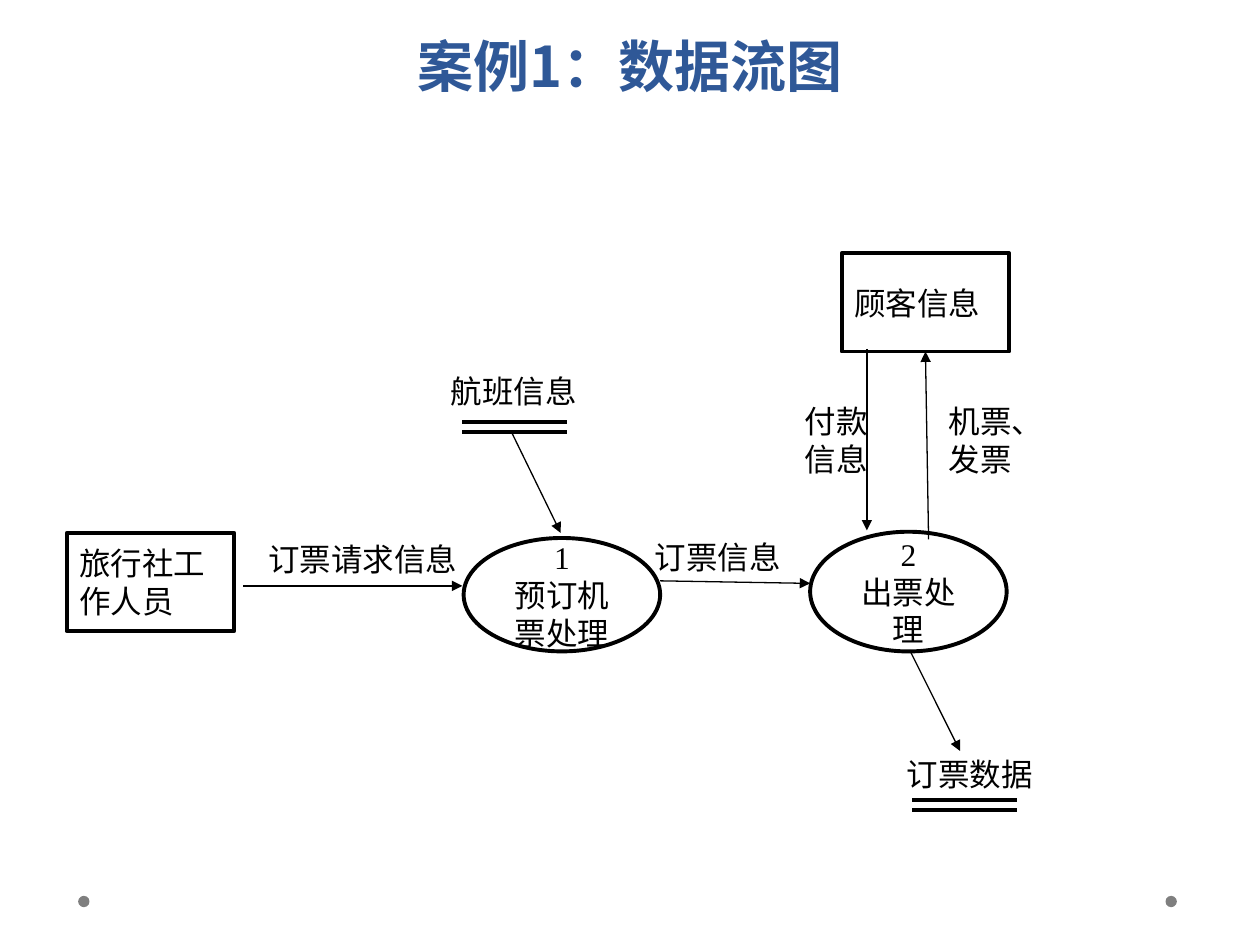
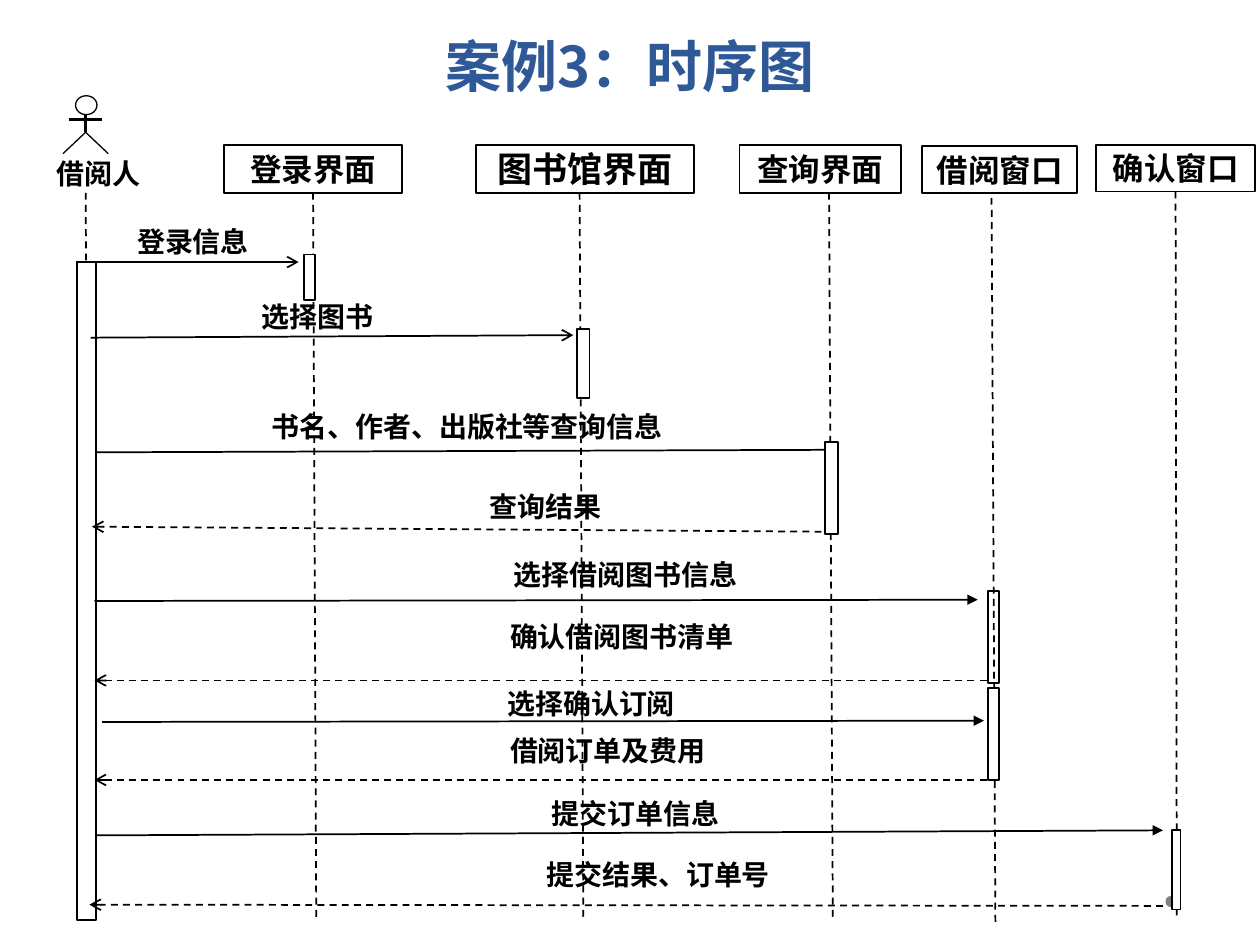
import lxml.etree
import pptx
import pptx.dml.color
import pptx.enum.dml
import pptx.enum.shapes
import pptx.enum.text
import pptx.oxml.ns
import pptx.util

PX = 9144  # 100 px to the inch
BLACK, WHITE, BLUE, GREY = "000000", "FFFFFF", "2F5897", "7F7F7F"
LATIN, HEADER, CJK = "Times New Roman", "Roboto", "Noto Sans CJK SC"
RECT = pptx.enum.shapes.MSO_SHAPE.RECTANGLE
OVAL = pptx.enum.shapes.MSO_SHAPE.OVAL
BOTTOM_SIDE = 2
ALIGN = pptx.enum.text.PP_ALIGN
ANCHOR = pptx.enum.text.MSO_ANCHOR
AUTO_SIZE = pptx.enum.text.MSO_AUTO_SIZE


def rgb(color):
    return pptx.dml.color.RGBColor.from_string(color)


def emu(*lengths):
    return [n * PX for n in lengths]


def add_xml(parent, tag, **attributes):
    return lxml.etree.SubElement(parent, pptx.oxml.ns.qn(tag), attributes)


class Diagram:
    """The shared style and the slide being drawn."""

    def __init__(self, prs):
        self.prs = prs

    def new_slide(self, title):
        s = self.prs.slides.add_slide(self.prs.slide_layouts[5])
        self.shapes = s.shapes
        s.background.fill.solid()
        s.background.fill.fore_color.rgb = rgb(WHITE)
        sp = s.shapes.title
        sp.left, sp.top, sp.width, sp.height = emu(50, -11, 900, 94)
        self.set_text(sp, title, 32, CJK, BLUE, True, ALIGN.CENTER)
        tf = sp.text_frame
        tf.auto_size = AUTO_SIZE.NONE
        tf.vertical_anchor = ANCHOR.BOTTOM
        tf.paragraphs[0].line_spacing = pptx.util.Pt(58)
        for x in (925, 62):
            self.box(OVAL, x, 711, 9, 9, fill=GREY, width=None)

    def set_text(self, sp, text, size, font=LATIN, color=BLACK, bold=False, align=ALIGN.LEFT):
        tf = sp.text_frame
        tf.text = text
        for p in tf.paragraphs:
            p.alignment = align
            for r in p.runs:
                r.font.name, r.font.bold = font, bold
                r.font.size = pptx.util.Pt(size)
                r.font.color.rgb = rgb(color)
                add_xml(r._r.get_or_add_rPr(), "a:ea", typeface=CJK)

    def outline(self, sp, fill=None, width=1):
        sp.shadow.inherit = False
        if fill:
            sp.fill.solid()
            sp.fill.fore_color.rgb = rgb(fill)
        else:
            sp.fill.background()
        if width is None:
            sp.line.fill.background()
        else:
            sp.line.color.rgb = rgb(BLACK)
            sp.line.width = pptx.util.Pt(width)

    def box(self, kind, x, y, w, h, fill=None, width=1):
        sp = self.shapes.add_shape(kind, *emu(x, y, w, h))
        self.outline(sp, fill, width)
        return sp

    def node(self, kind, x, y, w, h, text, size=18, width=1, align=ALIGN.CENTER, **style):
        sp = self.box(kind, x, y, w, h, width=width)
        self.set_text(sp, text, size, align=align, **style)
        sp.text_frame.word_wrap = True
        sp.text_frame.vertical_anchor = ANCHOR.MIDDLE
        return sp

    def label(self, x, y, text, size, bold=False):
        """Text box sized by its longest line of full-width characters."""
        lines = text.split("\n")
        w = round(max(map(len, lines)) * size * 100 / 72) + 20
        h = len(lines) * round(size * 5 / 3) + 10
        sp = self.shapes.add_textbox(*emu(x, y, w, h))
        self.set_text(sp, text, size, bold=bold)
        sp.text_frame.word_wrap = False
        sp.text_frame.auto_size = AUTO_SIZE.SHAPE_TO_FIT_TEXT

    def line(self, x1, y1, x2, y2, width=1, dash=False, head=None, tail=None, start=None):
        """Straight line; start is a box whose bottom middle it leaves from."""
        c = self.shapes.add_connector(pptx.enum.shapes.MSO_CONNECTOR.STRAIGHT, *emu(x1, y1, x2, y2))
        c.line.color.rgb = rgb(BLACK)
        c.line.width = pptx.util.Pt(width)
        if dash:
            c.line.dash_style = pptx.enum.dml.MSO_LINE.DASH
        ln = c.line._get_or_add_ln()
        for tag, kind in (("a:headEnd", head), ("a:tailEnd", tail)):
            if kind:
                add_xml(ln, tag, type=kind)
        add_xml(c._element.spPr, "a:effectLst")
        if start is not None:
            c.begin_connect(start, BOTTOM_SIDE)

    def data_store(self, x, y):
        for bar_y in (y, y + 8):
            self.line(x, bar_y, x + 83, bar_y, width=2)

    def actor(self):
        slide_shapes = self.shapes
        self.shapes = slide_shapes.add_group_shape().shapes
        legs = self.shapes.build_freeform(50, 122, scale=PX)
        legs.add_line_segments([(68, 105), (86, 122)], close=False)
        self.outline(legs.convert_to_shape(), width=0)
        self.box(OVAL, 60, 76, 17, 15, width=0)
        self.line(68, 91, 68, 105, width=0)
        self.line(55, 95, 81, 95, width=0)
        self.shapes = slide_shapes


def data_flow_slide(d):
    d.new_slide("案例1：数据流图")
    for x, y in ((367, 335), (724, 635)):
        d.data_store(x, y)
    for x, y, w, h, text in (
        (368, 427, 156, 90, "1\n预订机票处理"),
        (643, 422, 156, 95, "2\n出票处理"),
    ):
        d.node(OVAL, x, y, w, h, text, width=2.25)
    d.node(RECT, 53, 423, 133, 78, "旅行社工作人员", width=2.25, align=ALIGN.LEFT)
    customer = d.node(RECT, 668, 201, 133, 78, "顾客信息", width=2.25, align=ALIGN.LEFT)
    for x, y, text in (
        (348, 290, "航班信息"),
        (710, 594, "订票数据"),
        (203, 424, "订票请求信息"),
        (510, 422, "订票信息"),
        (629, 314, "付款\n信息"),
        (743, 314, "机票、\n发票"),
    ):
        d.label(x, y, text, 18)
    for flow in (
        (406, 343, 445, 423),
        (722, 516, 762, 596),
        (193, 465, 367, 465),
        (524, 461, 643, 463),
        (688, 277, 688, 421),
    ):
        d.line(*flow, width=0.75, tail="triangle")
    d.line(734, 279, 737, 428, width=0.75, head="triangle", start=customer)


def sequence_slide(d):
    d.new_slide("案例3：时序图")
    d.actor()
    d.label(35, 119, "借阅人", 16, bold=True)
    headers = [
        d.node(RECT, x, y, w, h, text, size, font=HEADER, bold=True)
        for x, y, w, h, text, size in (
            (178, 115, 141, 38, "登录界面", 18),
            (378, 115, 173, 38, "图书馆界面", 20),
            (587, 115, 128, 38, "查询界面", 18),
            (732, 116, 123, 37, "借阅窗口", 18),
            (870, 115, 126, 37, "确认窗口", 18),
        )
    ]
    login, confirm = headers[0], headers[-1]

    d.box(RECT, 784, 469, 9, 73, fill=WHITE)
    for x, y, start in (
        (68, 153, None),
        (248, 153, login),
        (460, 153, None),
        (658, 153, None),
        (787, 157, None),
        (931, 153, confirm),
    ):
        d.line(x, y, x + 3, y + 576, dash=True, start=start)

    d.line(60, 208, 237, 208, tail="arrow")
    d.box(RECT, 61, 208, 15, 522, fill=WHITE)
    for x1, y1, x2, y2, tail in (
        (72, 268, 455, 266, "arrow"),
        (76, 359, 663, 357, "triangle"),
        (75, 477, 776, 476, "triangle"),
        (81, 573, 781, 572, "triangle"),
        (76, 663, 923, 659, "triangle"),
    ):
        d.line(x1, y1, x2, y2, tail=tail)
    for reply in (
        (652, 422, 73, 418),
        (783, 540, 75, 540),
        (783, 619, 75, 619),
        (923, 719, 71, 718),
    ):
        d.line(*reply, dash=True, tail="arrow")
    for activation in (
        (241, 202, 9, 36),
        (458, 261, 10, 55),
        (655, 351, 10, 73),
        (784, 546, 9, 73),
        (930, 659, 7, 63),
    ):
        d.box(RECT, *activation, fill=WHITE)
    for x, y, text in (
        (99, 173, "登录信息"),
        (198, 233, "选择图书"),
        (206, 320, "书名、作者、出版社等查询信息"),
        (379, 384, "查询结果"),
        (398, 438, "选择借阅图书信息"),
        (395, 487, "确认借阅图书清单"),
        (393, 540, "选择确认订阅"),
        (395, 577, "借阅订单及费用"),
        (428, 627, "提交订单信息"),
        (424, 676, "提交结果、订单号"),
    ):
        d.label(x, y, text, 16, bold=True)


def main():
    prs = pptx.Presentation()
    prs.slide_width, prs.slide_height = emu(1000, 750)
    d = Diagram(prs)
    data_flow_slide(d)
    sequence_slide(d)
    prs.save("out.pptx")


if __name__ == "__main__":
    main()
